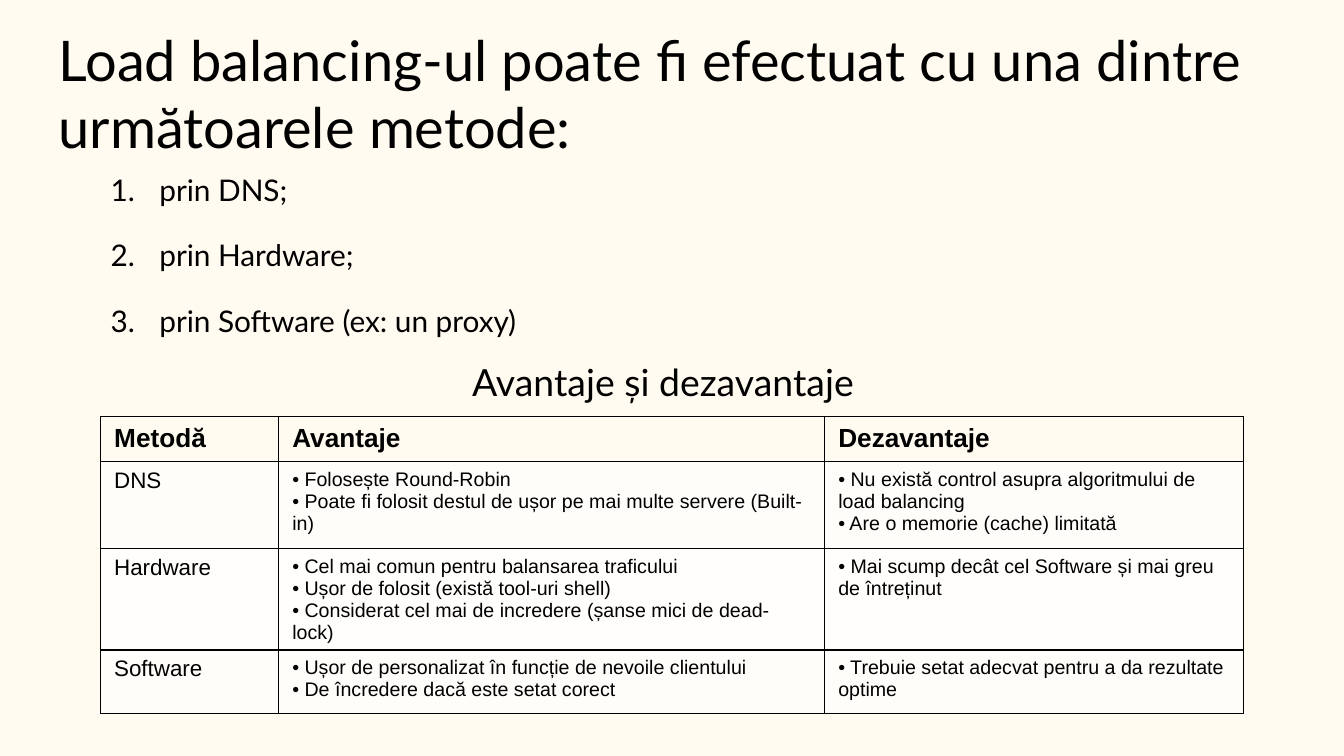
import pptx
import pptx.util
import pptx.dml.color
import pptx.enum.text
import pptx.oxml
import pptx.oxml.ns

# Grid of 160 columns by 90 rows, twelve units to the inch
UNIT = pptx.util.Inches(1) // 12
INK = "000000"
PAPER = "FFFBF0"


def grid(*units):
    return [round(value * UNIT) for value in units]


def format_text(text_frame, font, size, insets, bold=False):
    text_frame.word_wrap = True
    text_frame.auto_size = pptx.enum.text.MSO_AUTO_SIZE.NONE
    text_frame.vertical_anchor = pptx.enum.text.MSO_ANCHOR.TOP
    text_frame.margin_left = text_frame.margin_right = grid(insets[0])[0]
    text_frame.margin_top = text_frame.margin_bottom = grid(insets[1])[0]
    for paragraph in text_frame.paragraphs:
        for run in paragraph.runs:
            run.font.name = font
            run.font.size = pptx.util.Pt(size)
            run.font.bold = bold
            run.font.color.rgb = pptx.dml.color.RGBColor.from_string(INK)


presentation = pptx.Presentation()
presentation.slide_width, presentation.slide_height = grid(160, 90)
slide = presentation.slides.add_slide(presentation.slide_layouts[5])
slide.background.fill.solid()
slide.background.fill.fore_color.rgb = pptx.dml.color.RGBColor.from_string(PAPER)

# Title
title = slide.shapes.title
title.left, title.top, title.width, title.height = grid(5.4, 1.4, 149, 19.6)
title.text_frame.text = "Load balancing-ul poate fi efectuat cu una dintre următoarele metode:"
title.text_frame.paragraphs[0].alignment = pptx.enum.text.PP_ALIGN.LEFT
format_text(title.text_frame, "Lato", 40, (1.6, 1.6))

# Numbered methods
methods = slide.shapes.add_textbox(*grid(9.8, 19.2, 56.6, 23.2))
methods.text_frame.text = "prin DNS;\nprin Hardware;\nprin Software (ex: un proxy)"
format_text(methods.text_frame, "Lato", 21.3, (1.2, 1.2))
indent, hanging = grid(8, -5.8)
for index, paragraph in enumerate(methods.text_frame.paragraphs):
    paragraph.alignment = pptx.enum.text.PP_ALIGN.JUSTIFY
    paragraph.space_before = pptx.util.Pt(21.3 if index else 0)
    properties = paragraph._p.get_or_add_pPr()
    properties.set("marL", str(indent))
    properties.set("indent", str(hanging))
    numbering = pptx.oxml.parse_xml(
        f'<a:buAutoNum {pptx.oxml.ns.nsdecls("a")} type="arabicPeriod"/>')
    properties.append(numbering)

# Table heading
heading = slide.shapes.add_textbox(*grid(52.3, 40.4, 52.2, 9.2))
heading.text_frame.text = "Avantaje și dezavantaje"
format_text(heading.text_frame, "Lato", 26.7, (1.6, 1.6))
paragraph = heading.text_frame.paragraphs[0]
paragraph.alignment = pptx.enum.text.PP_ALIGN.JUSTIFY
paragraph.line_spacing = 1.15
paragraph._p.get_or_add_pPr().set("marL", str(grid(2.3)[0]))

# Comparison table
rows = [
    ("Metodă", "Avantaje", "Dezavantaje"),
    ("DNS",
     "• Folosește Round-Robin\n"
     "• Poate fi folosit destul de ușor pe mai multe servere (Built-in)",
     "• Nu există control asupra algoritmului de load balancing\n"
     "• Are o memorie (cache) limitată"),
    ("Hardware",
     "• Cel mai comun pentru balansarea traficului\n"
     "• Ușor de folosit (există tool-uri shell)\n"
     "• Considerat cel mai de incredere (șanse mici de dead-lock)",
     "• Mai scump decât cel Software și mai greu de întreținut"),
    ("Software",
     "• Ușor de personalizat în funcție de nevoile clientului\n"
     "• De încredere dacă este setat corect",
     "• Trebuie setat adecvat pentru a da rezultate optime"),
]
column_widths = grid(21.2, 65, 49.8)
row_heights = grid(5.35, 10.35, 9.65, 7.6)
row_fills = [PAPER, "FFFDF9", "FFFEFC", "FFFDF9"]
left, top = grid(12, 49.6)
table = slide.shapes.add_table(len(rows), len(column_widths), left, top,
                               sum(column_widths), sum(row_heights)).table
table.first_row = False
table.horz_banding = False
for column, width in zip(table.columns, column_widths):
    column.width = width
for row, height in zip(table.rows, row_heights):
    row.height = height

for row_index, texts in enumerate(rows):
    for column_index, text in enumerate(texts):
        cell = table.cell(row_index, column_index)
        cell.text_frame.text = text
        is_header = row_index == 0
        size = 18.7 if is_header else 16 if column_index == 0 else 14
        format_text(cell.text_frame, "Arial", size, (1.6, 0.8), is_header)
        cell.margin_left = cell.margin_right = grid(1.6)[0]
        cell.margin_top = cell.margin_bottom = grid(0.8)[0]
        cell.fill.solid()
        cell.fill.fore_color.rgb = pptx.dml.color.RGBColor.from_string(row_fills[row_index])
        # Borders come before the fill
        for position, side in enumerate("LRTB"):
            border = pptx.oxml.parse_xml(
                f'<a:ln{side} {pptx.oxml.ns.nsdecls("a")} w="{pptx.util.Pt(1)}">'
                f'<a:solidFill><a:srgbClr val="{INK}"/></a:solidFill></a:ln{side}>')
            cell._tc.get_or_add_tcPr().insert(position, border)

presentation.save("out.pptx")
